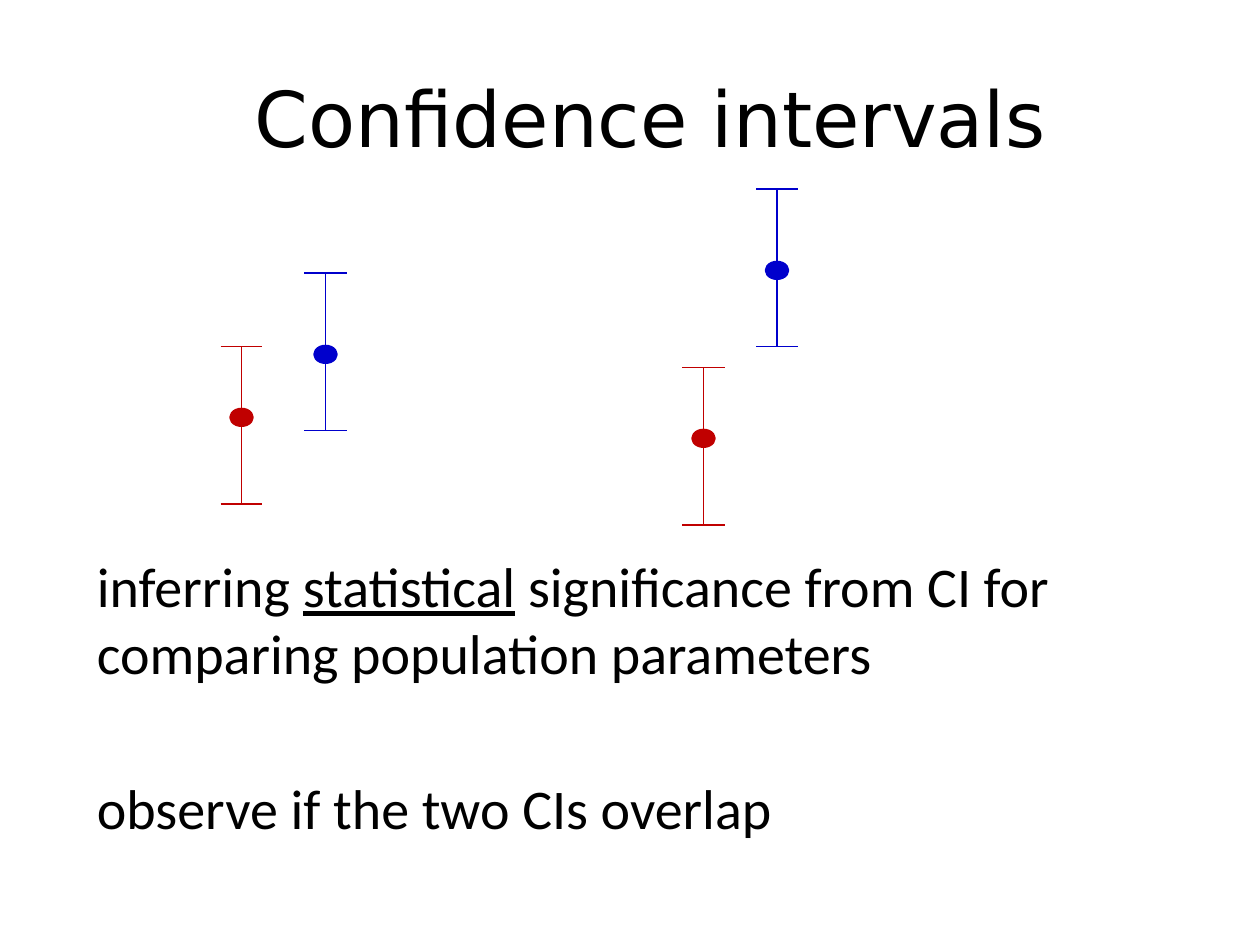
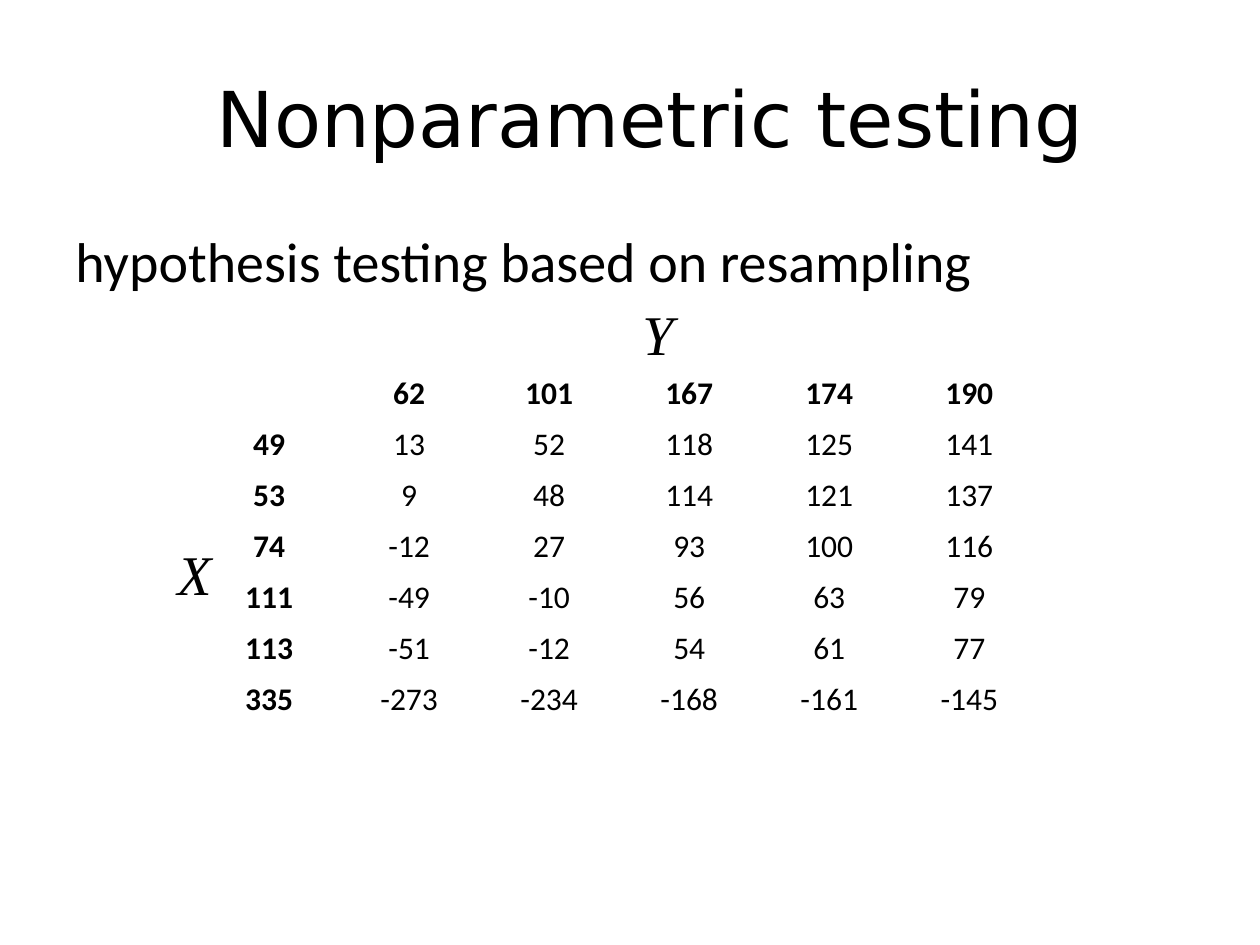
import lxml.etree
import pptx
import pptx.dml.color
import pptx.enum.shapes
import pptx.enum.text
import pptx.oxml.ns
import pptx.util

BLACK = pptx.dml.color.RGBColor(0x00, 0x00, 0x00)
RED = pptx.dml.color.RGBColor(0xC0, 0x00, 0x00)
BLUE = pptx.dml.color.RGBColor(0x00, 0x00, 0xCC)
BORDER_HEX = "FFFFFF"

TITLE_FONT, BODY_FONT, VARIABLE_FONT = "DejaVu Sans", "Calibri", "Times New Roman"
BODY_SIZE = 32

# Intervals sit on a grid of twelve units to the inch
UNIT = pptx.util.Inches(1) // 12
INTERVAL_HEIGHT = 15
CAP_REACH = 2
DOT_WIDTH, DOT_HEIGHT = 2, 1.5

# Centre column, top row, rows from the top down to the dot, colour
INTERVALS = [
    (23, 33, 6, RED), (31, 26, 7, BLUE),
    (67, 35, 6, RED), (74, 18, 7, BLUE),
]

X_SAMPLE = [49, 53, 74, 111, 113, 335]
Y_SAMPLE = [62, 101, 167, 174, 190]


def add_run(paragraph, text, font_name, size, bold=False, italic=False, underline=False):
    run = paragraph.add_run()
    run.text = text
    font = run.font
    font.name, font.size = font_name, pptx.util.Pt(size)
    font.bold, font.italic, font.underline = bold, italic, underline
    font.color.rgb = BLACK


def add_text_frame(slide, left, top, width, height, wrap=True):
    box = slide.shapes.add_textbox(*map(pptx.util.Inches, (left, top, width, height)))
    box.text_frame.word_wrap = wrap
    return box.text_frame


def add_titled_slide(presentation, title):
    slide = presentation.slides.add_slide(presentation.slide_layouts[6])
    frame = add_text_frame(slide, 0.5, 0.3, 9.33, 1.25)
    frame.vertical_anchor = pptx.enum.text.MSO_ANCHOR.MIDDLE
    paragraph = frame.paragraphs[0]
    paragraph.alignment = pptx.enum.text.PP_ALIGN.CENTER
    add_run(paragraph, title, TITLE_FONT, 44)
    return slide


def add_variable(slide, name, left, top, width):
    frame = add_text_frame(slide, left, top, width, 0.64, wrap=False)
    add_run(frame.paragraphs[0], name, VARIABLE_FONT, BODY_SIZE, italic=True)


def add_line(slide, start_column, start_row, end_column, end_row, color):
    line = slide.shapes.add_connector(
        pptx.enum.shapes.MSO_CONNECTOR.STRAIGHT,
        start_column * UNIT, start_row * UNIT, end_column * UNIT, end_row * UNIT)
    line.line.color.rgb = color
    line.line.width = pptx.util.Pt(0.75)
    properties = line.element.find(pptx.oxml.ns.qn("p:spPr"))
    lxml.etree.SubElement(properties, pptx.oxml.ns.qn("a:effectLst"))


def add_interval(slide, column, top, dot_offset, color):
    bottom = top + INTERVAL_HEIGHT
    add_line(slide, column, top, column, bottom, color)
    for row in (top, bottom):
        add_line(slide, column - CAP_REACH, row, column + CAP_REACH, row, color)
    dot = slide.shapes.add_shape(
        pptx.enum.shapes.MSO_SHAPE.OVAL,
        int((column - DOT_WIDTH / 2) * UNIT), (top + dot_offset) * UNIT,
        DOT_WIDTH * UNIT, int(DOT_HEIGHT * UNIT))
    dot.shadow.inherit = False
    dot.fill.solid()
    dot.fill.fore_color.rgb = color
    dot.line.color.rgb = color
    dot.line.width = pptx.util.Pt(2)


def set_borders(cell, bottom_width):
    properties = cell._tc.get_or_add_tcPr()
    widths = {"a:lnL": 1, "a:lnR": 1, "a:lnT": 1, "a:lnB": bottom_width}
    for position, (tag, width) in enumerate(widths.items()):
        border = lxml.etree.Element(pptx.oxml.ns.qn(tag), w=str(pptx.util.Pt(width)))
        fill = lxml.etree.SubElement(border, pptx.oxml.ns.qn("a:solidFill"))
        lxml.etree.SubElement(fill, pptx.oxml.ns.qn("a:srgbClr"), val=BORDER_HEX)
        properties.insert(position, border)


def add_difference_table(slide):
    # Each inner value is its column heading minus its row heading
    values = [["", *Y_SAMPLE]] + [[x, *(y - x for y in Y_SAMPLE)] for x in X_SAMPLE]
    frame = slide.shapes.add_table(
        len(values), len(values[0]),
        *map(pptx.util.Inches, (1.58, 2.92, 6.67, 2.84)))
    table = frame.table
    table.horz_banding = False
    for row_index, row in enumerate(values):
        for column_index, value in enumerate(row):
            cell = table.cell(row_index, column_index)
            cell.fill.background()
            set_borders(cell, bottom_width=3 if row_index == 0 else 1)
            if value == "":
                continue
            paragraph = cell.text_frame.paragraphs[0]
            paragraph.alignment = pptx.enum.text.PP_ALIGN.CENTER
            is_heading = row_index == 0 or column_index == 0
            add_run(paragraph, str(value), BODY_FONT, 18, bold=is_heading)


def build_intervals_slide(presentation):
    slide = add_titled_slide(presentation, "Confidence intervals")
    frame = add_text_frame(slide, 0.67, 4.33, 9, 2.67)
    inference = frame.paragraphs[0]
    add_run(inference, "inferring ", BODY_FONT, BODY_SIZE)
    add_run(inference, "statistical", BODY_FONT, BODY_SIZE, underline=True)
    add_run(inference, " significance from CI for comparing population parameters",
            BODY_FONT, BODY_SIZE)
    observation = frame.add_paragraph()
    observation.space_before = pptx.util.Pt(50)
    add_run(observation, "observe if the two CIs overlap", BODY_FONT, BODY_SIZE)
    for interval in INTERVALS:
        add_interval(slide, *interval)


def build_testing_slide(presentation):
    slide = add_titled_slide(presentation, "Nonparametric testing")
    frame = add_text_frame(slide, 0.5, 1.75, 9, 4.95)
    add_run(frame.paragraphs[0], "hypothesis testing based on resampling",
            BODY_FONT, BODY_SIZE)
    add_difference_table(slide)
    add_variable(slide, "X", 1.31, 4.23, 0.48)
    add_variable(slide, "Y", 5, 2.33, 0.45)


def main():
    presentation = pptx.Presentation()
    presentation.slide_width = pptx.util.Inches(10)
    presentation.slide_height = pptx.util.Inches(7.5)
    build_intervals_slide(presentation)
    build_testing_slide(presentation)
    presentation.save("out.pptx")


if __name__ == "__main__":
    main()
